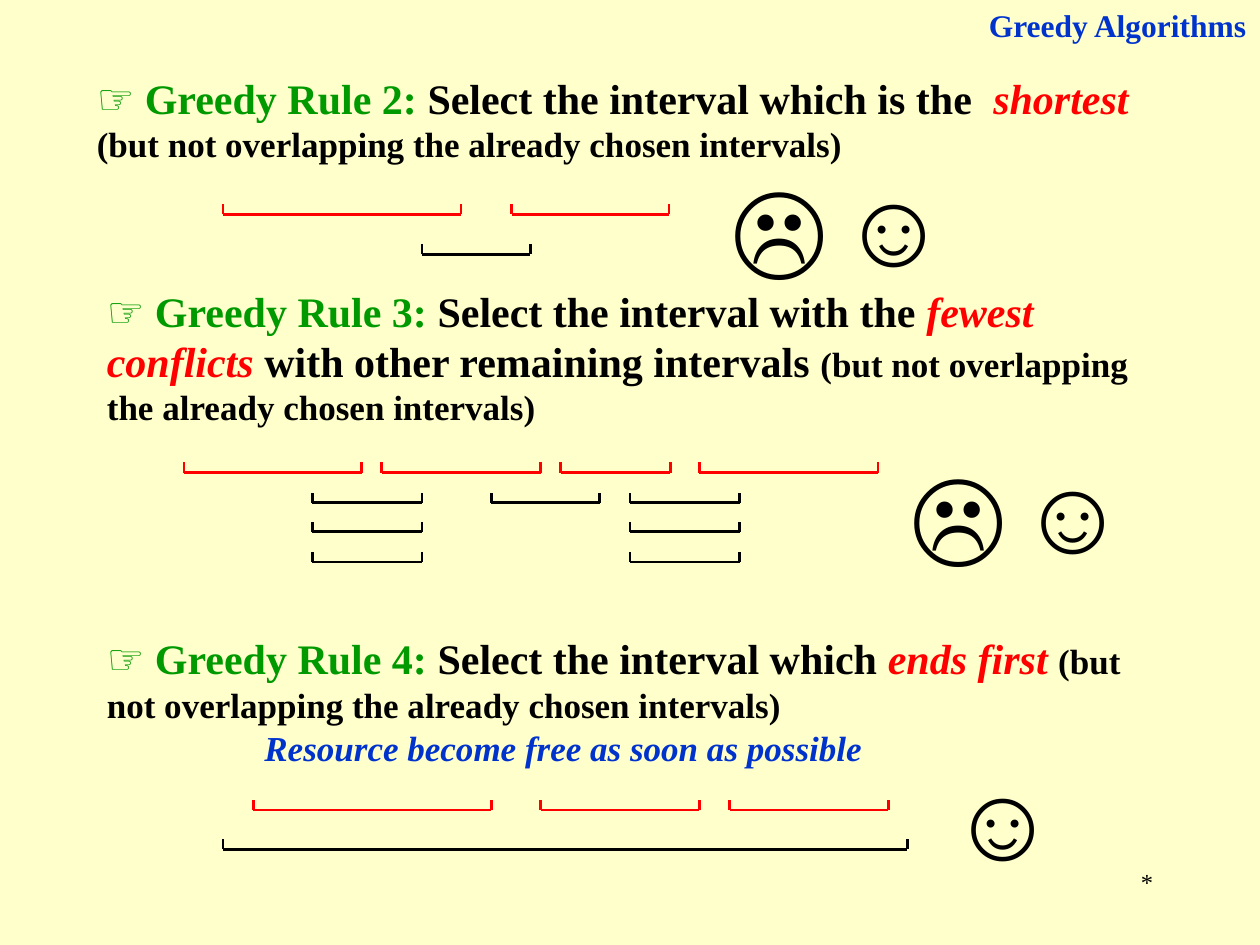
import pptx
import pptx.util
import pptx.dml.color
import pptx.enum.shapes
import pptx.enum.text
import pptx.oxml
from dataclasses import dataclass

Inches = pptx.util.Inches
Pt = pptx.util.Pt
Align = pptx.enum.text.PP_ALIGN
Anchor = pptx.enum.text.MSO_ANCHOR
Fit = pptx.enum.text.MSO_AUTO_SIZE


@dataclass(frozen=True)
class Theme:
    paper: str = "FFFFCC"
    ink: str = "000000"
    red: str = "FF0000"
    green: str = "009900"
    blue: str = "0033CC"
    serif: str = "Times New Roman"
    sans: str = "Arial"
    face: int = 60
    rule: int = 24
    note: int = 20
    head: int = 18
    mark: int = 14
    line: float = 1.5
    tick: float = 0.08


def add_run(para, text, size, color, font, bold=False, slant=False):
    run = para.add_run()
    run.text = text
    run.font.size = Pt(size)
    run.font.name = font
    run.font.bold = bold
    run.font.italic = slant
    run.font.color.rgb = pptx.dml.color.RGBColor.from_string(color)


class Deck:
    def __init__(self, theme):
        self.theme = theme
        self.file = pptx.Presentation()
        self.file.slide_width = Inches(10)
        self.file.slide_height = Inches(7.5)
        self.slide = self.file.slides.add_slide(self.file.slide_layouts[6])
        fill = self.slide.background.fill
        fill.solid()
        fill.fore_color.rgb = pptx.dml.color.RGBColor.from_string(theme.paper)

    def box(self, left, top, width, height, align=Align.LEFT,
            anchor=Anchor.TOP, before=0, fit=Fit.SHAPE_TO_FIT_TEXT):
        shape = self.slide.shapes.add_textbox(
            Inches(left), Inches(top), Inches(width), Inches(height))
        frame = shape.text_frame
        frame.word_wrap = True
        frame.auto_size = fit
        frame.vertical_anchor = anchor
        para = frame.paragraphs[0]
        para.alignment = align
        para.space_before = Pt(before)
        return para

    def rule(self, left, top, height, number, parts, note):
        look = self.theme
        para = self.box(left, top, 8.43, height, anchor=Anchor.MIDDLE)
        add_run(para, "☞", look.rule, look.green, look.sans, bold=True)
        add_run(para, f" Greedy Rule {number}:", look.rule, look.green,
                look.serif, bold=True)
        for text, key in parts:
            add_run(para, text, look.rule, look.red if key else look.ink,
                    look.serif, bold=True, slant=key)
        add_run(para, note, look.note, look.ink, look.serif, bold=True)

    def face(self, left, top, sign):
        look = self.theme
        para = self.box(left, top, 1.1, 1.1, before=37.5)
        add_run(para, sign, look.face, look.ink, look.sans)

    def line(self, group, start, end, color):
        link = group.shapes.add_connector(
            pptx.enum.shapes.MSO_CONNECTOR.STRAIGHT,
            *map(Inches, start + end))
        link.line.color.rgb = pptx.dml.color.RGBColor.from_string(color)
        link.line.width = Pt(self.theme.line)
        props = link._element.spPr
        props.append(pptx.oxml.parse_xml(
            '<a:effectLst xmlns:a='
            '"http://schemas.openxmlformats.org/drawingml/2006/main"/>'))

    def spans(self, rows):
        group = self.slide.shapes.add_group_shape()
        for y, color, pairs in rows:
            for left, right in pairs:
                self.line(group, (left, y), (right, y), color)
                for x in (left, right):
                    self.line(group, (x, y), (x, y - self.theme.tick), color)


def main():
    look = Theme()
    deck = Deck(look)
    note = "(but not overlapping the already chosen intervals)"

    mark = deck.box(7.17, 6.83, 2.08, 0.5, align=Align.RIGHT, fit=Fit.NONE)
    add_run(mark, "*", look.mark, look.ink, look.serif)
    head = deck.box(7.52, 0, 2.47, 0.4, align=Align.RIGHT, before=11.2)
    add_run(head, "Greedy Algorithms", look.head, look.blue, look.serif,
            bold=True)

    deck.rule(0.67, 0.52, 0.84, 2, [
        (" Select the interval which is the  ", False),
        ("shortest ", True)], note)
    deck.spans([
        (1.7, look.red, [(1.77, 3.66), (4.06, 5.31)]),
        (2.02, look.ink, [(3.35, 4.21)])])

    deck.rule(0.75, 2.21, 1.24, 3, [
        (" Select the interval with the ", False),
        ("fewest conflicts", True),
        (" with other remaining intervals ", False)], note)
    outer = [(2.48, 3.35), (5, 5.87)]
    deck.spans([
        (3.75, look.red,
         [(1.46, 2.87), (3.03, 4.29), (4.45, 5.32), (5.55, 6.97)]),
        (3.99, look.ink, outer + [(3.9, 4.76)]),
        (4.22, look.ink, outer),
        (4.46, look.ink, outer)])

    deck.rule(0.75, 4.97, 0.84, 4, [
        (" Select the interval which ", False),
        ("ends first ", True)], note)
    deck.spans([
        (6.43, look.red, [(2.01, 3.9), (4.29, 5.55), (5.79, 7.05)]),
        (6.74, look.ink, [(1.77, 7.2)])])

    for left, top, sign in [(5.71, 1.23, "☹"), (6.57, 1.23, "☺"),
                            (7.13, 3.51, "☹"), (7.99, 3.51, "☺"),
                            (7.44, 5.95, "☺")]:
        deck.face(left, top, sign)

    why = deck.box(2, 5.72, 5.1, 0.44)
    add_run(why, "Resource become free as soon as possible", look.note,
            look.blue, look.serif, bold=True, slant=True)
    deck.file.save("out.pptx")


if __name__ == "__main__":
    main()
